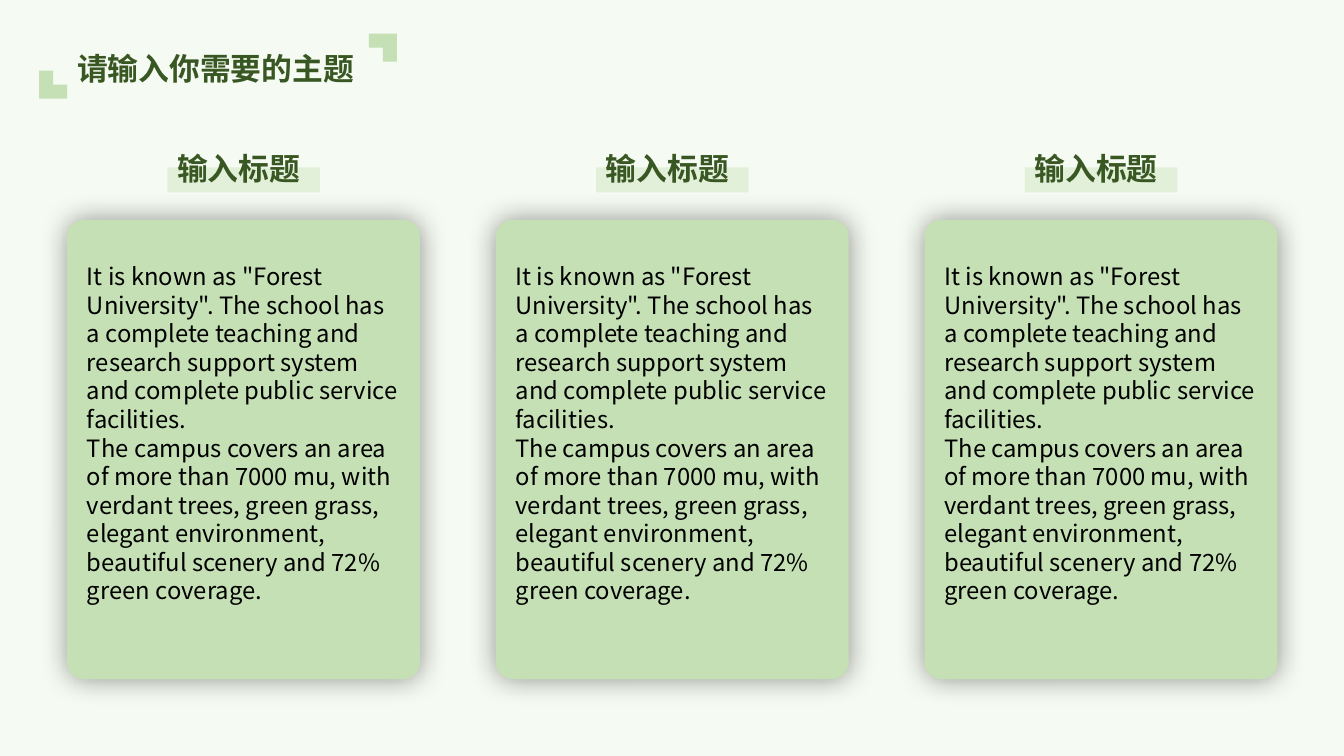
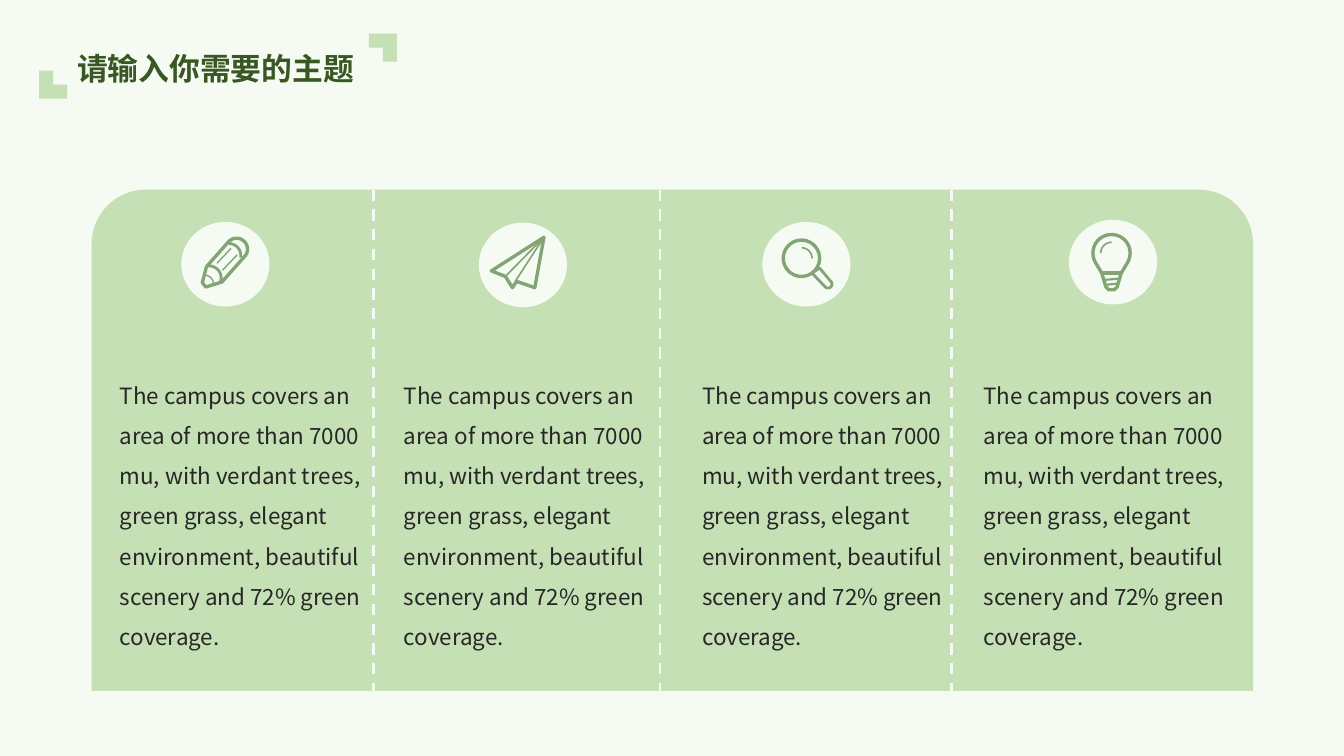
from math import cos, radians, sin

from lxml.etree import SubElement
from pptx import Presentation
from pptx.dml.color import RGBColor
from pptx.enum.dml import MSO_LINE
from pptx.enum.shapes import MSO_CONNECTOR, MSO_SHAPE
from pptx.enum.text import MSO_ANCHOR, MSO_AUTO_SIZE, PP_ALIGN
from pptx.oxml.ns import qn
from pptx.util import Pt

# Shared look
PALE = RGBColor(0xF5, 0xFA, 0xF2)
TAG = RGBColor(0xE2, 0xF0, 0xD9)
LEAF = RGBColor(0xC5, 0xE0, 0xB4)
MOSS = RGBColor(0x83, 0xA5, 0x75)
FOREST = RGBColor(0x38, 0x57, 0x23)
BLACK = RGBColor(0x00, 0x00, 0x00)
CHARCOAL = RGBColor(0x26, 0x26, 0x26)
FONT = "Noto Sans CJK SC"
TITLE_ONLY = 5
CORNER = [(0, 0), (10, 0), (10, 10), (20, 10), (20, 20), (0, 20)]

# Wording
TITLE = "请输入你需要的主题"
CARD_HEADING = "输入标题"
SCHOOL = ('It is known as "Forest University". The school has a complete teaching '
          "and research support system and complete public service facilities.")
CAMPUS = ("The campus covers an area of more than 7000 mu, with verdant trees, "
          "green grass, elegant environment, beautiful scenery and 72% green coverage.")


def write(frame, paragraphs, size, color, bold=False, spacing=None):
    frame.word_wrap = True
    frame.auto_size = MSO_AUTO_SIZE.NONE
    frame.vertical_anchor = MSO_ANCHOR.TOP
    frame.text = "\n".join(paragraphs)
    for paragraph in frame.paragraphs:
        paragraph.alignment = PP_ALIGN.LEFT
        if spacing:
            paragraph.line_spacing = spacing
        for run in paragraph.runs:
            run.font.size = Pt(size)
            run.font.bold = bold
            run.font.color.rgb = color
            run.font.name = FONT
            SubElement(run.font._element, qn("a:ea"), typeface=FONT)


def add_text(slide, left, top, width, height, paragraphs, size, color, **style):
    box = slide.shapes.add_textbox(Pt(left), Pt(top), Pt(width), Pt(height))
    write(box.text_frame, paragraphs, size, color, **style)


def paint(shape, color):
    shape.shadow.inherit = False
    shape.fill.solid()
    shape.fill.fore_color.rgb = color
    shape.line.fill.background()


def add_block(slide, preset, left, top, width, height, color, adjustments=()):
    block = slide.shapes.add_shape(preset, Pt(left), Pt(top), Pt(width), Pt(height))
    paint(block, color)
    for index, value in enumerate(adjustments):
        block.adjustments[index] = value
    return block


def add_path(slide, left, top, points, closed=True):
    start, *rest = [(Pt(left + x), Pt(top + y)) for x, y in points]
    builder = slide.shapes.build_freeform(*start)
    builder.add_line_segments(rest, close=closed)
    return builder.convert_to_shape()


def add_glow(block):
    """Soft, centred shadow around a block."""
    effects = block._element.spPr.find(qn("a:effectLst"))
    shadow = SubElement(effects, qn("a:outerShdw"), blurRad=str(Pt(20)), dist="0",
                        dir="0", algn="ctr", rotWithShape="0")
    tint = SubElement(shadow, qn("a:srgbClr"), val=str(BLACK))
    SubElement(tint, qn("a:alpha"), val="40000")


def add_titled_slide(prs):
    slide = prs.slides.add_slide(prs.slide_layouts[TITLE_ONLY])
    title = slide.shapes.title
    title.left, title.top, title.width, title.height = Pt(48), Pt(32), Pt(228), Pt(34)
    write(title.text_frame, [TITLE], 22, FOREST, bold=True)
    # Corner marks around the title
    for left, top, turn in ((28, 50.5, 0), (263.5, 24, 180)):
        mark = add_path(slide, left, top, CORNER)
        paint(mark, LEAF)
        mark.rotation = turn
    return slide


# Slide of cards
def add_card(slide, left, top, width, height):
    card = add_block(slide, MSO_SHAPE.ROUNDED_RECTANGLE, left, top, width, height,
                     LEAF, [0.047])
    add_glow(card)
    add_text(slide, left + 7, top + 26.5, width - 14, 254, [SCHOOL, CAMPUS], 17, BLACK)
    # Heading on its highlight
    add_block(slide, MSO_SHAPE.RECTANGLE, left + 71.5, top - 37.5, 109, 18, TAG)
    add_text(slide, left + 71.5, top - 53.5, 109, 34, [CARD_HEADING], 22, FOREST,
             bold=True)


def build_cards(prs):
    slide = add_titled_slide(prs)
    for column in range(3):
        add_card(slide, 48 + column * 306.25, 157, 252, 328)


# Line icons: strokes as (points, closed, line width), measured from the badge corner
def arc(x, y, radius, start, end, steps=24):
    angles = [radians(start + (end - start) * i / steps) for i in range(steps + 1)]
    return [(x + radius * cos(a), y + radius * sin(a)) for a in angles]


PENCIL = [
    ([(18, 32), *arc(39.5, 19.5, 7.8, 225, 405), (29, 43), (17.5, 46.5), (15, 43.5)],
     True, 2.4),
    (arc(34, 24, 8.5, -90, 10), False, 2),
    (arc(20, 40, 8.5, -100, 20), False, 2),
    (arc(16.5, 44.5, 6.5, -90, 0), False, 1),
    ([(25.5, 29.5), (35.5, 19)], False, 1),
    ([(29.5, 34.5), (40, 23.5)], False, 1),
]
PAPER_PLANE = [
    ([(46.5, 10.5), (9, 34.5), (19, 38.5), (24, 46.5), (27, 42), (40, 46.5)], True, 2.4),
    ([(46.5, 10.5), (19, 38.5)], False, 1.2),
    ([(46.5, 10.5), (26, 42)], False, 1.2),
]
MAGNIFIER = [
    (arc(28, 26, 13, 0, 345), True, 2.4),
    (arc(28, 26, 7.5, -90, 0), False, 1.2),
    ([(35.5, 36.5), *arc(47, 44.5, 2.8, 135, -45), (41, 33)], True, 2),
]
BULB = [
    ([*arc(30.5, 23.8, 13.3, 150, 390), (37.5, 38), (34.5, 48), (32.5, 50),
      (28.5, 50), (26.5, 48), (23.5, 38)], True, 2.4),
    (arc(30.5, 23.8, 7.7, 180, 270), False, 1.2),
    ([(24, 38), (37, 38)], False, 2.2),
    ([(25, 43), (36, 42)], False, 1.5),
    ([(26, 46.5), (35, 45.5)], False, 1.5),
]


def add_badge(slide, left, top, icon):
    add_block(slide, MSO_SHAPE.OVAL, left, top, 63, 60.5, PALE)
    for points, closed, weight in icon:
        stroke = add_path(slide, left, top, points, closed)
        stroke.shadow.inherit = False
        stroke.fill.background()
        stroke.line.color.rgb = MOSS
        stroke.line.width = Pt(weight)


# Slide of one panel in four columns
def add_divider(slide, x, top, bottom):
    divider = slide.shapes.add_connector(MSO_CONNECTOR.STRAIGHT, Pt(x), Pt(top),
                                         Pt(x), Pt(bottom))
    divider.line.color.rgb = PALE
    divider.line.width = Pt(2)
    divider.line.dash_style = MSO_LINE.DASH
    SubElement(divider._element.spPr, qn("a:effectLst"))


def add_panel(slide, left, top, width, height):
    add_block(slide, MSO_SHAPE.ROUND_2_SAME_RECTANGLE, left, top, width, height,
              LEAF, [0.108, 0])
    # Icon, badge offset across and down, text offset
    columns = (
        (PENCIL, 64, 23, 13),
        (PAPER_PLANE, 276.5, 23.5, 216),
        (MAGNIFIER, 479, 23, 429),
        (BULB, 698, 21.5, 630),
    )
    for icon, badge_x, badge_y, text_x in columns:
        add_badge(slide, left + badge_x, top + badge_y, icon)
        add_text(slide, left + text_x, top + 124, 199.5, 211, [CAMPUS], 16, CHARCOAL,
                 spacing=1.5)
    for x in (201.5, 406, 614):
        add_divider(slide, left + x, top, top + height)


def build_panel(prs):
    add_panel(add_titled_slide(prs), 65.5, 135.5, 829.5, 358)


def main():
    prs = Presentation()
    prs.slide_width, prs.slide_height = Pt(960), Pt(540)
    backdrop = prs.slide_master.background.fill
    backdrop.solid()
    backdrop.fore_color.rgb = PALE
    build_cards(prs)
    build_panel(prs)
    prs.save("out.pptx")


if __name__ == "__main__":
    main()
